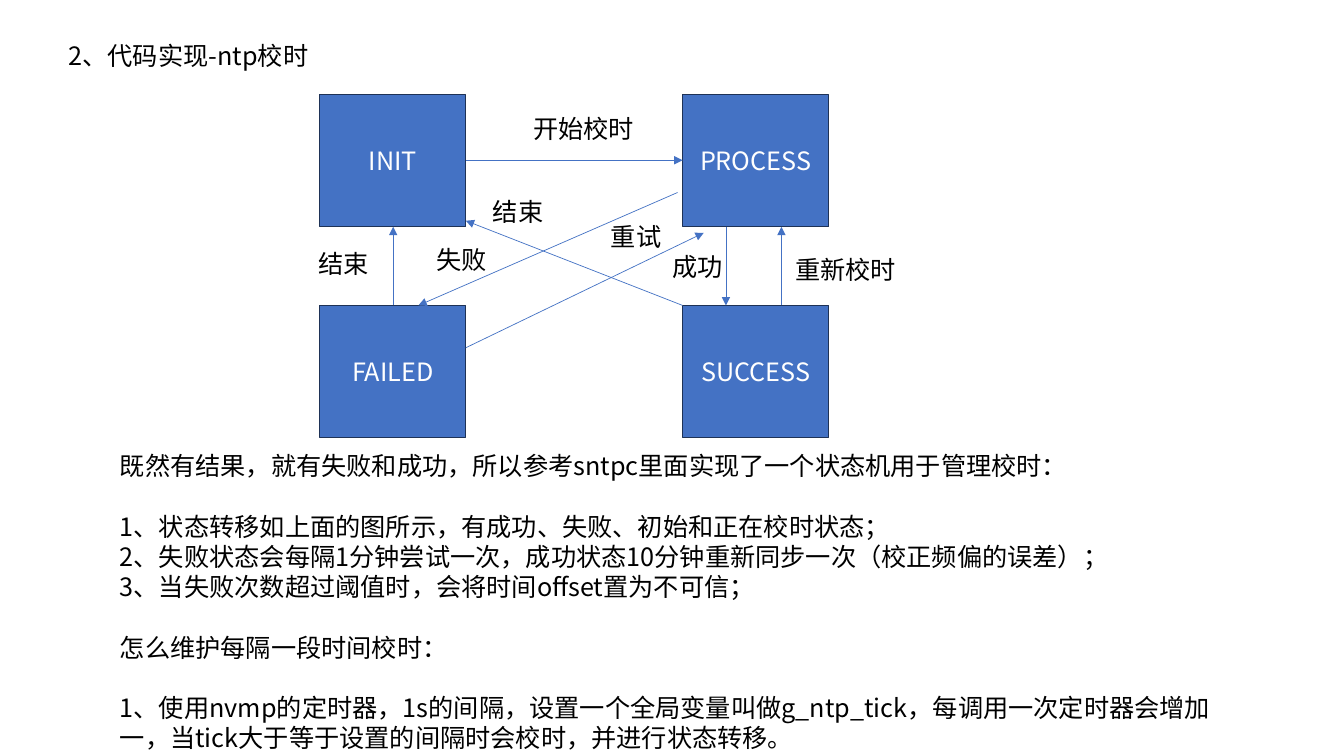
from lxml import etree
from pptx import Presentation
from pptx import util as u
from pptx.dml.color import RGBColor
from pptx.enum import shapes, text
from pptx.oxml.ns import qn

FONT = "Noto Sans CJK SC"
SIZE = 18
LINE_HEIGHT = 21.6
BLACK, WHITE, BLUE, NAVY = "000000", "FFFFFF", "4472C4", "1E3256"

TITLE = "2、代码实现-ntp校时"

# Paragraphs: text, blank lines before it
BODY = [
    ("既然有结果，就有失败和成功，所以参考sntpc里面实现了一个状态机用于管理校时：", 0),
    ("1、状态转移如上面的图所示，有成功、失败、初始和正在校时状态；", 1),
    ("2、失败状态会每隔1分钟尝试一次，成功状态10分钟重新同步一次（校正频偏的误差）；", 0),
    ("3、当失败次数超过阈值时，会将时间offset置为不可信；", 0),
    ("怎么维护每隔一段时间校时：", 1),
    ("1、使用nvmp的定时器，1s的间隔，设置一个全局变量叫做g_ntp_tick，每调用一次定时器会增加一，"
     "当tick大于等于设置的间隔时会校时，并进行状态转移。", 1),
]

# States: name, column, row
STATES = [("INIT", 0, 0), ("PROCESS", 1, 0), ("SUCCESS", 1, 1), ("FAILED", 0, 1)]
COLUMNS, ROWS = (3.17, 6.77), (0.94, 3.03)
STATE_WIDTH, STATE_HEIGHT = 1.45, 1.31

# Transitions: label, label left and top, arrow start, arrow end
TRANSITIONS = [
    ("开始校时", (5.19, 1.08), (4.62, 1.59), (6.77, 1.59)),
    ("成功", (6.57, 2.44), (7.2, 2.25), (7.2, 3.03)),
    ("重新校时", (7.79, 2.47), (7.75, 3.03), (7.75, 2.25)),
    ("失败", (4.23, 2.37), (6.72, 1.91), (4.15, 3.03)),
    ("重试", (5.96, 2.15), (4.62, 3.45), (6.98, 2.31)),
    ("结束", (3.06, 2.41), (3.9, 3.03), (3.9, 2.25)),
    ("结束", (4.79, 1.9), (6.77, 3.03), (4.62, 2.19)),
]


def color(value):
    return RGBColor.from_string(value)


def inches(*values):
    return [u.Inches(value) for value in values]


def write(shape, paragraphs, font_color=BLACK, align=text.PP_ALIGN.LEFT,
          anchor=text.MSO_ANCHOR.TOP, wrap=True):
    frame = shape.text_frame
    frame.word_wrap = wrap
    frame.auto_size = text.MSO_AUTO_SIZE.NONE
    frame.vertical_anchor = anchor
    frame.margin_left = frame.margin_right = u.Inches(0.1)
    frame.margin_top = frame.margin_bottom = u.Inches(0.05)
    for index, (words, blank_lines) in enumerate(paragraphs):
        paragraph = frame.add_paragraph() if index else frame.paragraphs[0]
        paragraph.alignment = align
        paragraph.line_spacing = u.Pt(LINE_HEIGHT)
        paragraph.space_before = u.Pt(LINE_HEIGHT * blank_lines)
        run = paragraph.add_run()
        run.text = words
        run.font.size = u.Pt(SIZE)
        run.font.color.rgb = color(font_color)
        run.font.name = FONT
        east_asian = etree.SubElement(run.font._element, qn("a:ea"))
        east_asian.set("typeface", FONT)


def add_state(slide, name, column, row):
    shape = slide.shapes.add_shape(
        shapes.MSO_SHAPE.RECTANGLE,
        *inches(COLUMNS[column], ROWS[row], STATE_WIDTH, STATE_HEIGHT))
    shape.shadow.inherit = False
    shape.fill.solid()
    shape.fill.fore_color.rgb = color(BLUE)
    shape.line.color.rgb = color(NAVY)
    shape.line.width = u.Pt(1)
    write(shape, [(name, 0)], WHITE, text.PP_ALIGN.CENTER, text.MSO_ANCHOR.MIDDLE)


def add_arrow(slide, start, end):
    arrow = slide.shapes.add_connector(
        shapes.MSO_CONNECTOR.STRAIGHT, *inches(*start, *end))
    arrow.line.color.rgb = color(BLUE)
    arrow.line.width = u.Pt(0.5)
    etree.SubElement(arrow.line._get_or_add_ln(), qn("a:tailEnd")).set("type", "triangle")
    etree.SubElement(arrow._element.spPr, qn("a:effectLst"))


def add_label(slide, words, position):
    width = 0.21 + 0.25 * len(words)
    box = slide.shapes.add_textbox(*inches(*position, width, 0.4))
    write(box, [(words, 0)], wrap=False)


def main():
    presentation = Presentation()
    presentation.slide_width, presentation.slide_height = inches(13.33, 7.5)
    slide = presentation.slides.add_slide(presentation.slide_layouts[5])

    # Title and explanation
    title = slide.shapes.title
    title.left, title.top, title.width, title.height = inches(0.58, 0.35, 2.59, 0.4)
    write(title, [(TITLE, 0)])
    body = slide.shapes.add_textbox(*inches(1.09, 4.42, 11.26, 3.13))
    write(body, BODY)

    # State machine
    for state in STATES:
        add_state(slide, *state)
    for _, _, start, end in TRANSITIONS:
        add_arrow(slide, start, end)
    for label, position, _, _ in TRANSITIONS:
        add_label(slide, label, position)

    presentation.save("out.pptx")


if __name__ == "__main__":
    main()
